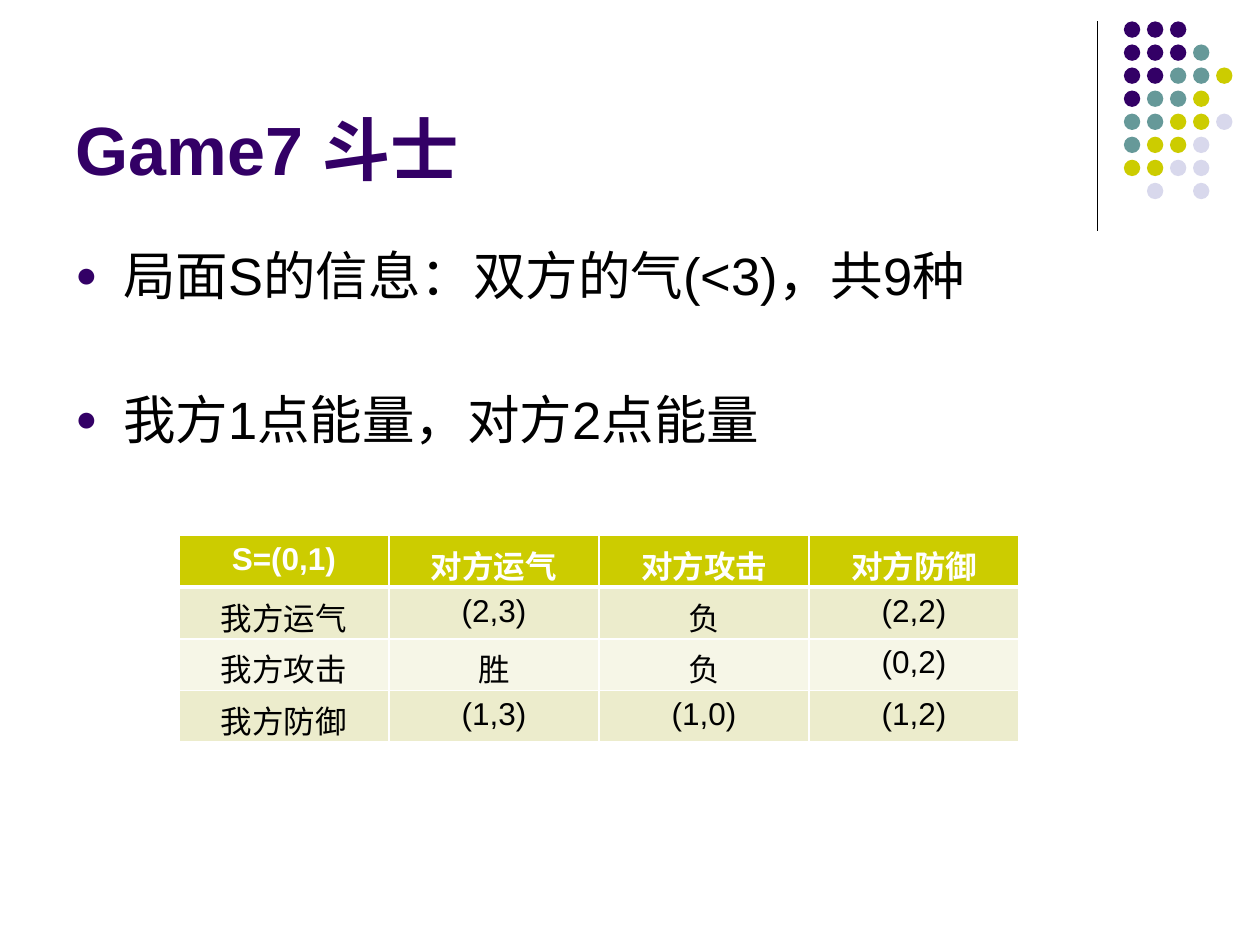
from dataclasses import dataclass

import pptx
import pptx.dml.color
import pptx.enum.shapes
import pptx.enum.text
import pptx.oxml
import pptx.oxml.ns
import pptx.util
from pptx.util import Inches

FONT = "Arial"
PURPLE, TEAL, LIME, LILAC = "330066", "669999", "CCCC00", "D8D8EC"
BLACK, WHITE = "000000", "FFFFFF"
DOT_COLORS = {"P": PURPLE, "T": TEAL, "L": LIME, "V": LILAC}
DOT_ROWS = ["PPP", "PPPT", "PPTTL", "PTTL", "TTLLV", "TLLV", "LLVV", " V V"]
DOT_LEFT, DOT_TOP, DOT_SIZE, DOT_PITCH = 8.92, 0.17, 0.13, 0.183
TABLE_ROWS = [
    ["S=(0,1)", "对方运气", "对方攻击", "对方防御"],
    ["我方运气", "(2,3)", "负", "(2,2)"],
    ["我方攻击", "胜", "负", "(0,2)"],
    ["我方防御", "(1,3)", "(1,0)", "(1,2)"],
]
COLUMN_WIDTH, ROW_HEIGHT = 1.667, 0.41


@dataclass
class Bullet:
    text: str
    space_before: float


@dataclass
class CellStyle:
    fill: str
    color: str
    bold: bool
    bottom_width: float


HEADER = CellStyle(LIME, WHITE, True, 3)
BANDS = [
    CellStyle("F6F6E7", BLACK, False, 1),
    CellStyle("ECECCC", BLACK, False, 1),
]
BULLETS = [
    Bullet("局面S的信息：双方的气(<3)，共9种", 6),
    Bullet("我方1点能量，对方2点能量", 46.5),
]


def rgb(value: str) -> pptx.dml.color.RGBColor:
    return pptx.dml.color.RGBColor.from_string(value)


def xml(tag: str, attributes: str = "", content: str = ""):
    namespace = pptx.oxml.ns.nsdecls("a")
    return pptx.oxml.parse_xml(f"<a:{tag} {namespace} {attributes}>{content}</a:{tag}>")


def format_spans(para, size: float, color: str, bold: bool = False) -> None:
    for span in para.runs:
        span.font.name = FONT
        span.font.size = pptx.util.Pt(size)
        span.font.bold = bold
        span.font.color.rgb = rgb(color)


def draw_divider(page) -> None:
    line = page.shapes.add_connector(
        pptx.enum.shapes.MSO_CONNECTOR.STRAIGHT,
        Inches(8.71), Inches(0.17), Inches(8.71), Inches(1.83),
    )
    line.line.color.rgb = rgb(BLACK)
    line.line.width = pptx.util.Pt(0.75)
    line._element.spPr.append(xml("effectLst"))


def draw_dots(page) -> None:
    for row, codes in enumerate(DOT_ROWS):
        for column, code in enumerate(codes):
            if code not in DOT_COLORS:
                continue
            dot = page.shapes.add_shape(
                pptx.enum.shapes.MSO_SHAPE.OVAL,
                Inches(DOT_LEFT + column * DOT_PITCH),
                Inches(DOT_TOP + row * DOT_PITCH),
                Inches(DOT_SIZE), Inches(DOT_SIZE),
            )
            dot.shadow.inherit = False
            dot.fill.solid()
            dot.fill.fore_color.rgb = rgb(DOT_COLORS[code])
            dot.line.fill.background()


def draw_title(page, text: str) -> None:
    title = page.shapes.title
    title.left, title.top = Inches(0.5), Inches(0.13)
    title.width, title.height = Inches(8.25), Inches(1.42)
    frame = title.text_frame
    frame.text = text
    frame.auto_size = pptx.enum.text.MSO_AUTO_SIZE.NONE
    frame.vertical_anchor = pptx.enum.text.MSO_ANCHOR.BOTTOM
    para = frame.paragraphs[0]
    para.alignment = pptx.enum.text.PP_ALIGN.LEFT
    format_spans(para, 39, PURPLE, True)


def draw_bullets(page, bullets: list[Bullet]) -> None:
    box = page.shapes.add_textbox(Inches(0.5), Inches(1.88), Inches(9), Inches(4.82))
    frame = box.text_frame
    frame.word_wrap = True
    frame.text = "\n".join(bullet.text for bullet in bullets)
    for para, bullet in zip(frame.paragraphs, bullets):
        para.space_before = pptx.util.Pt(bullet.space_before)
        format_spans(para, 30, BLACK)
        properties = para._p.get_or_add_pPr()
        indent = Inches(0.38)
        properties.set("marL", str(indent))
        properties.set("indent", str(-indent))
        properties.append(xml("buClr", content=f'<a:srgbClr val="{PURPLE}"/>'))
        properties.append(xml("buSzPct", 'val="70000"'))
        properties.append(xml("buFont", f'typeface="{FONT}"'))
        properties.append(xml("buChar", 'char="●"'))


def format_cell(cell, text: str, style: CellStyle) -> None:
    cell.text_frame.text = text
    para = cell.text_frame.paragraphs[0]
    para.alignment = pptx.enum.text.PP_ALIGN.CENTER
    format_spans(para, 18, style.color, style.bold)
    cell.fill.solid()
    cell.fill.fore_color.rgb = rgb(style.fill)
    properties = cell._tc.get_or_add_tcPr()
    widths = {"lnL": 1, "lnR": 1, "lnT": 1, "lnB": style.bottom_width}
    for position, (tag, width) in enumerate(widths.items()):
        border = xml(
            tag,
            f'w="{pptx.util.Pt(width)}"',
            f'<a:solidFill><a:srgbClr val="{WHITE}"/></a:solidFill>',
        )
        properties.insert(position, border)


def draw_table(page, rows: list[list[str]]) -> None:
    column_count = len(rows[0])
    table = page.shapes.add_table(
        len(rows), column_count, Inches(1.42), Inches(4.25),
        Inches(COLUMN_WIDTH * column_count), Inches(ROW_HEIGHT * len(rows)),
    ).table
    for row, texts in enumerate(rows):
        style = BANDS[row % 2] if row else HEADER
        if row == 1:
            top_width = HEADER.bottom_width
        for column, text in enumerate(texts):
            cell = table.cell(row, column)
            format_cell(cell, text, style)
            if row == 1:
                top = cell._tc.tcPr.find(pptx.oxml.ns.qn("a:lnT"))
                top.set("w", str(pptx.util.Pt(top_width)))


def main() -> None:
    deck = pptx.Presentation()
    deck.slide_width, deck.slide_height = Inches(10), Inches(7.5)
    page = deck.slides.add_slide(deck.slide_layouts[5])
    draw_divider(page)
    draw_dots(page)
    draw_title(page, "Game7 斗士")
    draw_bullets(page, BULLETS)
    draw_table(page, TABLE_ROWS)
    deck.save("out.pptx")


if __name__ == "__main__":
    main()
